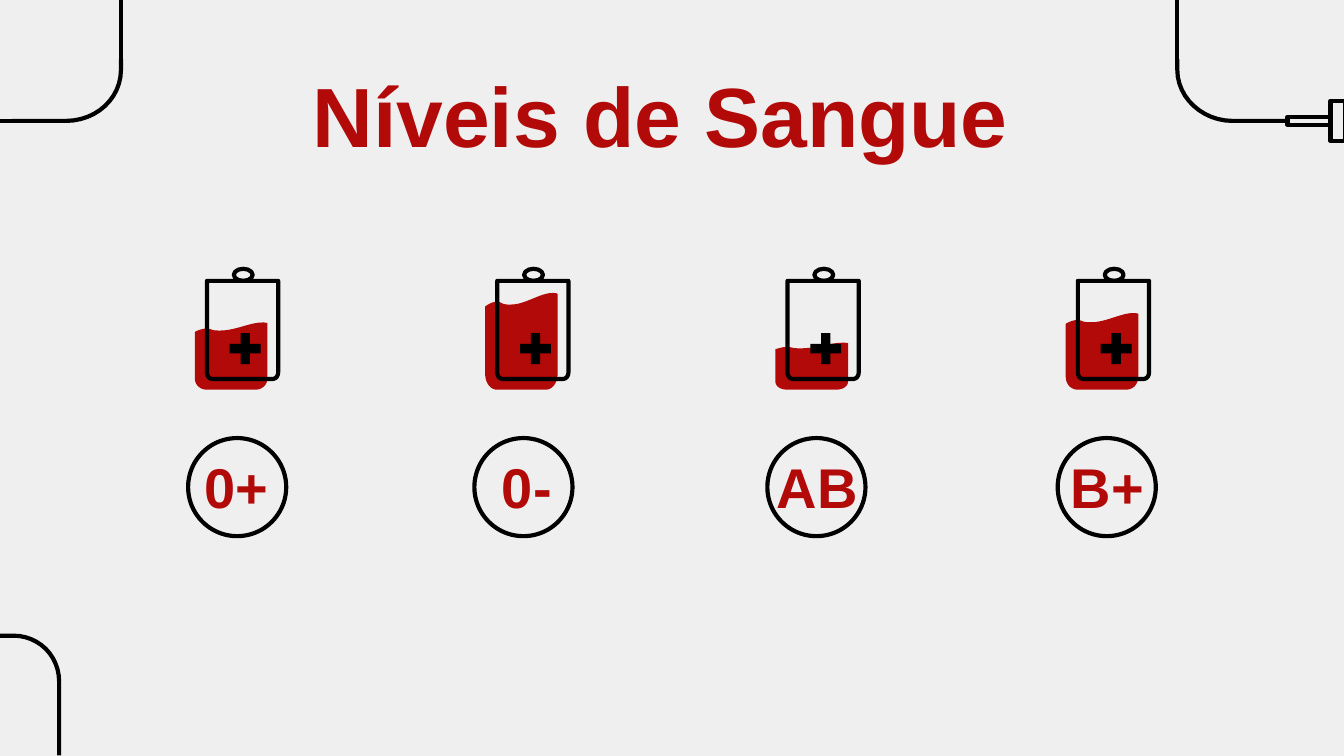
from dataclasses import dataclass

from lxml import etree
from pptx import Presentation
from pptx import util as u
from pptx.dml.color import RGBColor
from pptx.enum import shapes, text
from pptx.oxml.ns import qn

SLIDE_WIDTH = u.Inches(10)
SLIDE_HEIGHT = SLIDE_WIDTH * 9 // 16
BACKGROUND = RGBColor(0xEF, 0xEF, 0xEF)
BLOOD = RGBColor(0xB2, 0x09, 0x09)
INK = RGBColor(0, 0, 0)
FONT = "Arial"
OUTLINE_PT = 2.25
BAG_LEFT, LABEL_LEFT, COLUMN_STEP = 1.45, 0.85, 2.16
BAG_WIDTH, BLOOD_BOTTOM = 0.54, 2.9
CURVE_STEPS = 12

Point = tuple[float, float]
# A segment is one point for a straight line, or three points for a Bézier curve.
Segment = tuple[Point, ...]


@dataclass(frozen=True)
class BloodLevel:
    group: str
    circle_left: float
    blood_height: float


@dataclass(frozen=True)
class Tube:
    start: Point
    segments: tuple[Segment, ...]


LEVELS = (
    BloodLevel("0+", 1.4, 0.5),
    BloodLevel("0-", 3.53, 0.72),
    BloodLevel("AB", 5.71, 0.35),
    BloodLevel("B+", 7.87, 0.57),
)

TUBES = (
    Tube((0.44, 5.62), (((0.44, 5.07),),
                        ((0.44, 4.88), (0.29, 4.73), (0.1, 4.73)),
                        ((0, 4.73),))),
    Tube((9.58, 0.9), (((9.17, 0.9),),
                       ((8.95, 0.9), (8.76, 0.73), (8.76, 0.52)),
                       ((8.76, 0.44),))),
    Tube((0.09, 0.9), (((0.49, 0.9),),
                       ((0.72, 0.9), (0.9, 0.73), (0.9, 0.52)),
                       ((0.9, 0.44),))),
)

TUBE_ENDS = (
    ((8.76, 0.44), (8.76, 0)),
    ((0.9, 0.44), (0.9, 0)),
    ((0.2, 0.9), (0, 0.9)),
)


def style(shape, fill: RGBColor | None = None, outlined: bool = True) -> None:
    shape.shadow.inherit = False
    if fill is None:
        shape.fill.background()
    else:
        shape.fill.solid()
        shape.fill.fore_color.rgb = fill
    if outlined:
        draw_outline(shape.line)
    else:
        shape.line.fill.background()


def draw_outline(line) -> None:
    line.color.rgb = INK
    line.width = u.Pt(OUTLINE_PT)
    etree.SubElement(line._get_or_add_ln(), qn("a:round"))


def add_preset(slide, kind, left: float, top: float, width: float, height: float,
               **look) -> None:
    box = map(u.Inches, (left, top, width, height))
    style(slide.shapes.add_shape(kind, *box), **look)


def flatten(start: Point, segments: tuple[Segment, ...]) -> list[Point]:
    """Turn lines and cubic curves into a list of points."""
    points = [start]
    for segment in segments:
        if len(segment) == 1:
            points.append(segment[0])
            continue
        corners = (points[-1], *segment)
        for step in range(1, CURVE_STEPS + 1):
            t = step / CURVE_STEPS
            weights = ((1 - t) ** 3, 3 * t * (1 - t) ** 2, 3 * t * t * (1 - t), t ** 3)
            points.append(tuple(sum(w * c[axis] for w, c in zip(weights, corners))
                                for axis in (0, 1)))
    return points


def add_outline(slide, start: Point, segments: tuple[Segment, ...],
                close: bool = False, **look) -> None:
    first, *others = [(u.Inches(x), u.Inches(y)) for x, y in flatten(start, segments)]
    builder = slide.shapes.build_freeform(*first)
    builder.add_line_segments(others, close=close)
    style(builder.convert_to_shape(), **look)


def add_straight(slide, start: Point, end: Point) -> None:
    connector = slide.shapes.add_connector(
        shapes.MSO_CONNECTOR.STRAIGHT, *map(u.Inches, (*start, *end)))
    draw_outline(connector.line)
    etree.SubElement(connector._element.spPr, qn("a:effectLst"))


def write(shape, words: str, *, size: float, color: RGBColor = BLOOD) -> None:
    frame = shape.text_frame
    frame.word_wrap = True
    frame.auto_size = text.MSO_AUTO_SIZE.NONE
    frame.vertical_anchor = text.MSO_ANCHOR.MIDDLE
    frame.margin_left = frame.margin_right = u.Inches(0.1)
    frame.margin_top = frame.margin_bottom = u.Inches(0.1)
    paragraph = frame.paragraphs[0]
    paragraph.alignment = text.PP_ALIGN.CENTER
    run = paragraph.add_run()
    run.text = words
    run.font.name = FONT
    run.font.size = u.Pt(size)
    run.font.bold = True
    run.font.color.rgb = color


def add_blood(slide, left: float, height: float) -> None:
    """Draw the wavy blood, whose waves grow with its height."""
    top = BLOOD_BOTTOM - height

    def at(x: float, share: float) -> Point:
        return left + x, top + share * height

    add_outline(slide, at(0.5, 0), (
        (at(0.41, 0), at(0.3, 0.12), at(0.19, 0.12)),
        (at(0.17, 0.12), at(0.15, 0.12), at(0.13, 0.11)),
        (at(0.12, 0.1), at(0.1, 0.09), at(0.09, 0.09)),
        (at(0.06, 0.09), at(0.03, 0.11), at(0, 0.14)),
        (at(0, 0.83),),
        (at(0, 0.93), at(0.04, 1), at(0.09, 1)),
        (at(0.45, 1),),
        (at(0.5, 1), at(BAG_WIDTH, 0.93), at(BAG_WIDTH, 0.83)),
        (at(BAG_WIDTH, 0.01),),
        (at(0.53, 0), at(0.51, 0), at(0.5, 0)),
    ), close=True, fill=BLOOD, outlined=False)


def add_bag(slide, left: float, blood_height: float) -> None:
    add_blood(slide, left, blood_height)
    add_preset(slide, shapes.MSO_SHAPE.OVAL, left + 0.29, 2, 0.14, 0.09)
    near, far = left + 0.09, left + 0.62
    add_outline(slide, (near, 2.09), (
        ((near, 2.77),),
        ((near, 2.8), (near + 0.02, 2.82), (near + 0.04, 2.82)),
        ((far - 0.04, 2.82),),
        ((far - 0.02, 2.82), (far, 2.8), (far, 2.77)),
        ((far, 2.09),),
    ), close=True)
    for bar in ((0.34, 2.48, 0.07, 0.23), (0.26, 2.56, 0.23, 0.07)):
        add_preset(slide, shapes.MSO_SHAPE.RECTANGLE, left + bar[0], *bar[1:],
                   fill=INK, outlined=False)


def add_decoration(slide) -> None:
    for needle_part in ((9.9, 0.75, 0.11, 0.3), (9.58, 0.87, 0.32, 0.06)):
        add_preset(slide, shapes.MSO_SHAPE.RECTANGLE, *needle_part)
    for tube in TUBES:
        add_outline(slide, tube.start, tube.segments)
    for start, end in TUBE_ENDS:
        add_straight(slide, start, end)


def main() -> None:
    deck = Presentation()
    deck.slide_width, deck.slide_height = SLIDE_WIDTH, SLIDE_HEIGHT
    slide = deck.slides.add_slide(deck.slide_layouts[5])
    slide.background.fill.solid()
    slide.background.fill.fore_color.rgb = BACKGROUND

    title = slide.shapes.title
    title.left, title.top = u.Inches(0.78), u.Inches(0.4)
    title.width, title.height = u.Inches(8.44), u.Inches(0.9)
    write(title, "Níveis de Sangue ", size=45)

    add_decoration(slide)
    for column, level in enumerate(LEVELS):
        offset = column * COLUMN_STEP
        add_preset(slide, shapes.MSO_SHAPE.OVAL, level.circle_left, 3.26, 0.73, 0.73)
        add_bag(slide, BAG_LEFT + offset, level.blood_height)
        label = slide.shapes.add_textbox(
            *map(u.Inches, (LABEL_LEFT + offset, 3.35, 1.82, 0.53)))
        write(label, level.group, size=30)
    deck.save("out.pptx")


if __name__ == "__main__":
    main()
